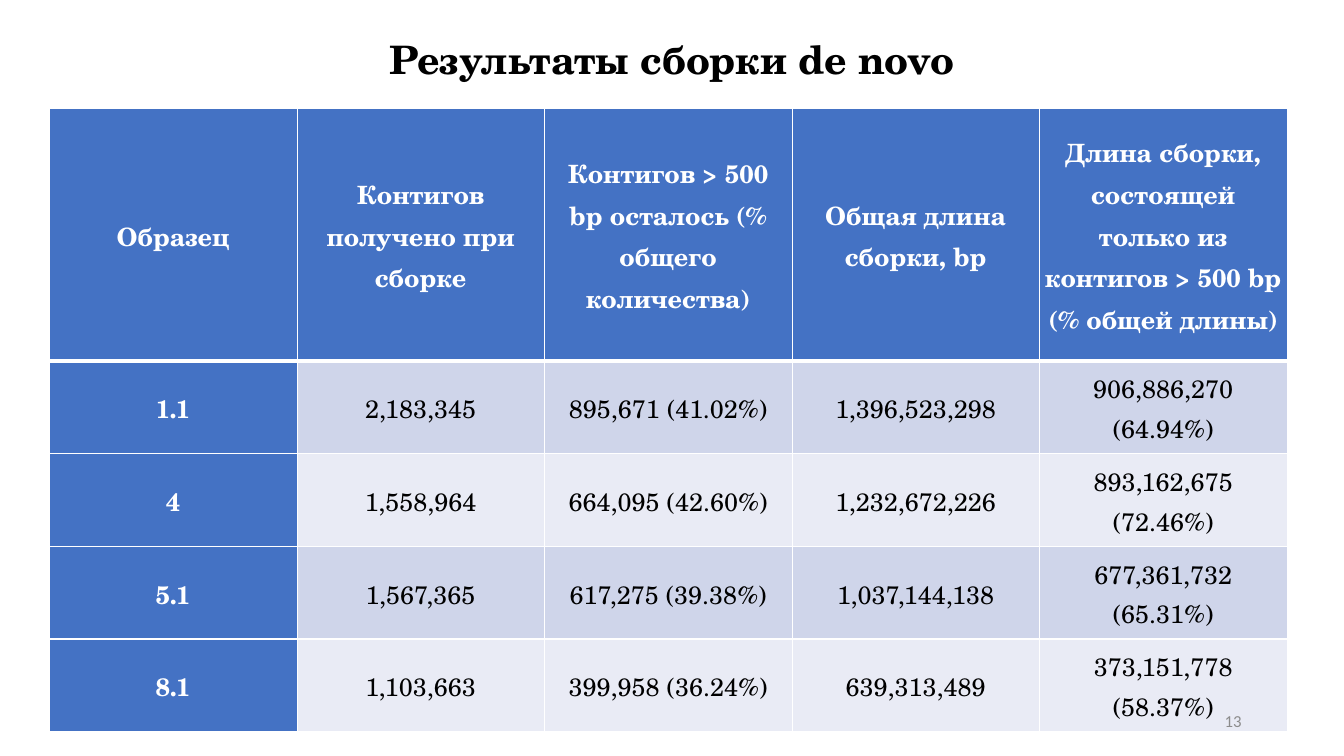
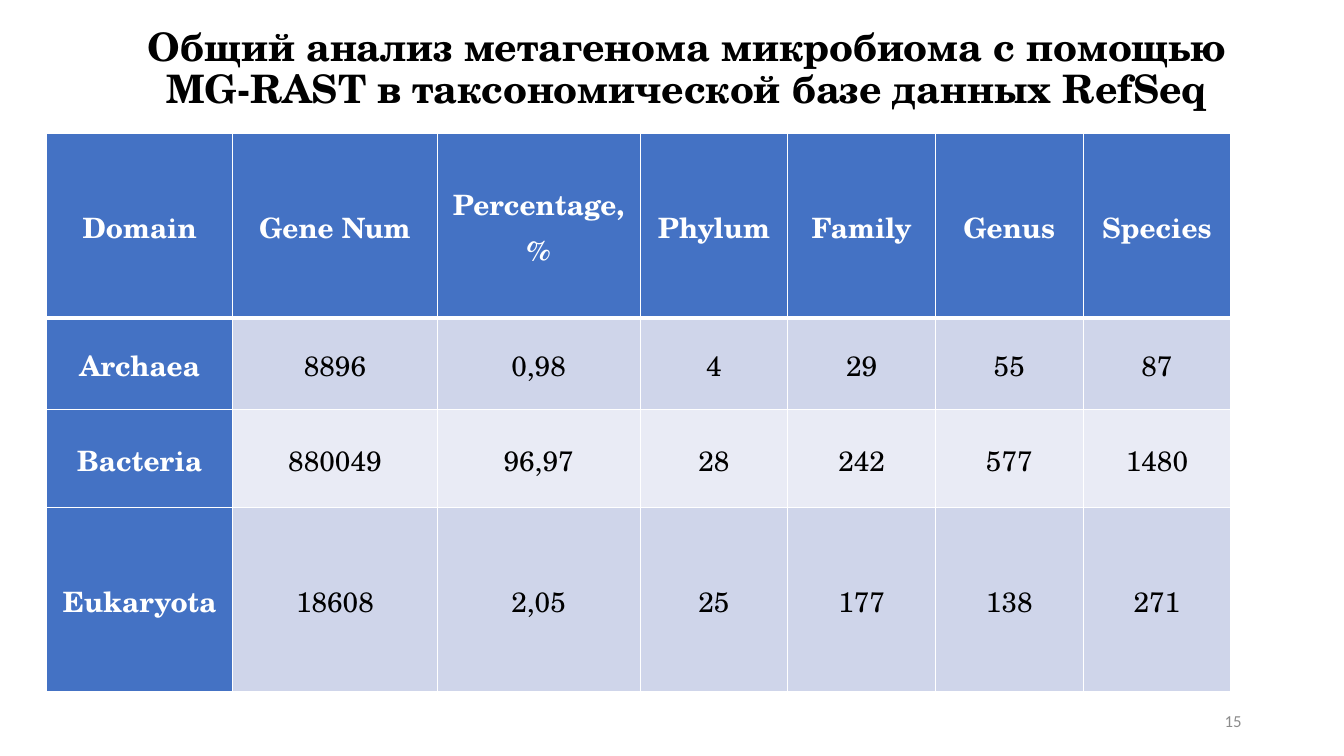
import pptx
import pptx.dml.color
import pptx.enum.text
import pptx.oxml
import pptx.oxml.ns
import pptx.util

Pt = pptx.util.Pt
ALIGN = pptx.enum.text.PP_ALIGN
MIDDLE = pptx.enum.text.MSO_ANCHOR.MIDDLE

SERIF = "TeX Gyre Schola"
SANS = "Calibri"
BLACK, WHITE, GREY = "000000", "FFFFFF", "8C8C8C"
HEADER_FILL = "4472C4"
BAND_FILLS = ("CFD5EA", "E9EBF5")
THIN, THICK = 1, 3
TITLE_ONLY = 5

SLIDES = [
    {
        "title": "Результаты сборки de novo",
        "title_box": (66, 20, 828, 48.5),
        "number": "13",
        "table_at": (35.5, 77.3),
        "columns": [176.8] * 5,
        "row_heights": [180.6] + [66.2] * 4,
        "margins": (2.5, 3, 3, 3),
        "size": 18,
        "space_after": 0,
        "rows": [
            ("Образец", "Контигов получено при сборке",
             "Контигов > 500 bp осталось (% общего количества)",
             "Общая длина сборки, bp",
             "Длина сборки, состоящей только из контигов > 500 bp (% общей длины)"),
            ("1.1", "2,183,345", "895,671 (41.02%)", "1,396,523,298", "906,886,270 (64.94%)"),
            ("4", "1,558,964", "664,095 (42.60%)", "1,232,672,226", "893,162,675 (72.46%)"),
            ("5.1", "1,567,365", "617,275 (39.38%)", "1,037,144,138", "677,361,732 (65.31%)"),
            ("8.1", "1,103,663", "399,958 (36.24%)", "639,313,489", "373,151,778 (58.37%)"),
        ],
    },
    {
        "title": "Общий анализ метагенома микробиома с помощью MG-RAST "
                 "в таксономической базе данных RefSeq",
        "title_box": (76.5, 10.8, 828, 78.5),
        "number": "15",
        "table_at": (33.3, 95.3),
        "columns": [133, 146, 145] + [105.5] * 4,
        "row_heights": [131.8, 65.5, 69.8, 131.8],
        "margins": (5, 0, 5, 0),
        "size": 20,
        "space_after": 8,
        "rows": [
            ("Domain", "Gene Num", "Percentage, %", "Phylum", "Family", "Genus", "Species"),
            ("Archaea", "8896", "0,98", "4", "29", "55", "87"),
            ("Bacteria", "880049", "96,97", "28", "242", "577", "1480"),
            ("Eukaryota", "18608", "2,05", "25", "177", "138", "271"),
        ],
    },
]


def rgb(color):
    return pptx.dml.color.RGBColor.from_string(color)


def write(frame, text, *, size, font=SERIF, color=BLACK, bold=False,
          align=ALIGN.CENTER, line_spacing=1.0, space_after=0):
    para = frame.paragraphs[0]
    para.alignment = align
    para.line_spacing = line_spacing
    para.space_before = Pt(0)
    para.space_after = Pt(space_after)
    span = para.add_run()
    span.text = text
    span.font.name = font
    span.font.size = Pt(size)
    span.font.bold = bold
    span.font.color.rgb = rgb(color)


def add_borders(cell, **widths):
    """Draw white cell borders; call before the fill, which must follow them."""
    properties = cell._tc.get_or_add_tcPr()
    for side in "LRTB":
        properties.append(pptx.oxml.parse_xml(
            f'<a:ln{side} {pptx.oxml.ns.nsdecls("a")} w="{Pt(widths.get(side, THIN))}">'
            f'<a:solidFill><a:srgbClr val="{WHITE}"/></a:solidFill></a:ln{side}>'))


def add_title(page, text, box):
    title = page.shapes.title
    title.left, title.top, title.width, title.height = map(Pt, box)
    frame = title.text_frame
    frame.word_wrap = True
    frame.auto_size = pptx.enum.text.MSO_AUTO_SIZE.NONE
    frame.vertical_anchor = MIDDLE
    write(frame, text, size=28, bold=True, line_spacing=0.9)


def add_page_number(page, number):
    box = page.shapes.add_textbox(Pt(678), Pt(500.5), Pt(216), Pt(28.8))
    box.text_frame.word_wrap = True
    box.text_frame.vertical_anchor = MIDDLE
    write(box.text_frame, number, size=12, font=SANS, color=GREY, align=ALIGN.RIGHT)


def add_data_table(page, content):
    rows, columns, heights = content["rows"], content["columns"], content["row_heights"]
    table = page.shapes.add_table(
        len(rows), len(columns), *map(Pt, content["table_at"]),
        Pt(sum(columns)), Pt(sum(heights))).table
    table.first_col = True
    for column, width in zip(table.columns, columns):
        column.width = Pt(width)
    for row, height in zip(table.rows, heights):
        row.height = Pt(height)
    for r, texts in enumerate(rows):
        for c, text in enumerate(texts):
            cell = table.cell(r, c)
            is_header = r == 0 or c == 0
            (cell.margin_left, cell.margin_top,
             cell.margin_right, cell.margin_bottom) = map(Pt, content["margins"])
            cell.vertical_anchor = MIDDLE
            add_borders(cell, T=THICK if r == 1 else THIN, B=THICK if r == 0 else THIN)
            cell.fill.solid()
            cell.fill.fore_color.rgb = rgb(HEADER_FILL if is_header else BAND_FILLS[(r - 1) % 2])
            write(cell.text_frame, text, size=content["size"], bold=is_header,
                  color=WHITE if is_header else BLACK, line_spacing=1.07,
                  space_after=content["space_after"])


def main():
    deck = pptx.Presentation()
    deck.slide_width, deck.slide_height = Pt(960), Pt(540)
    for content in SLIDES:
        page = deck.slides.add_slide(deck.slide_layouts[TITLE_ONLY])
        add_title(page, content["title"], content["title_box"])
        add_data_table(page, content)
        add_page_number(page, content["number"])
    deck.save("out.pptx")


if __name__ == "__main__":
    main()
